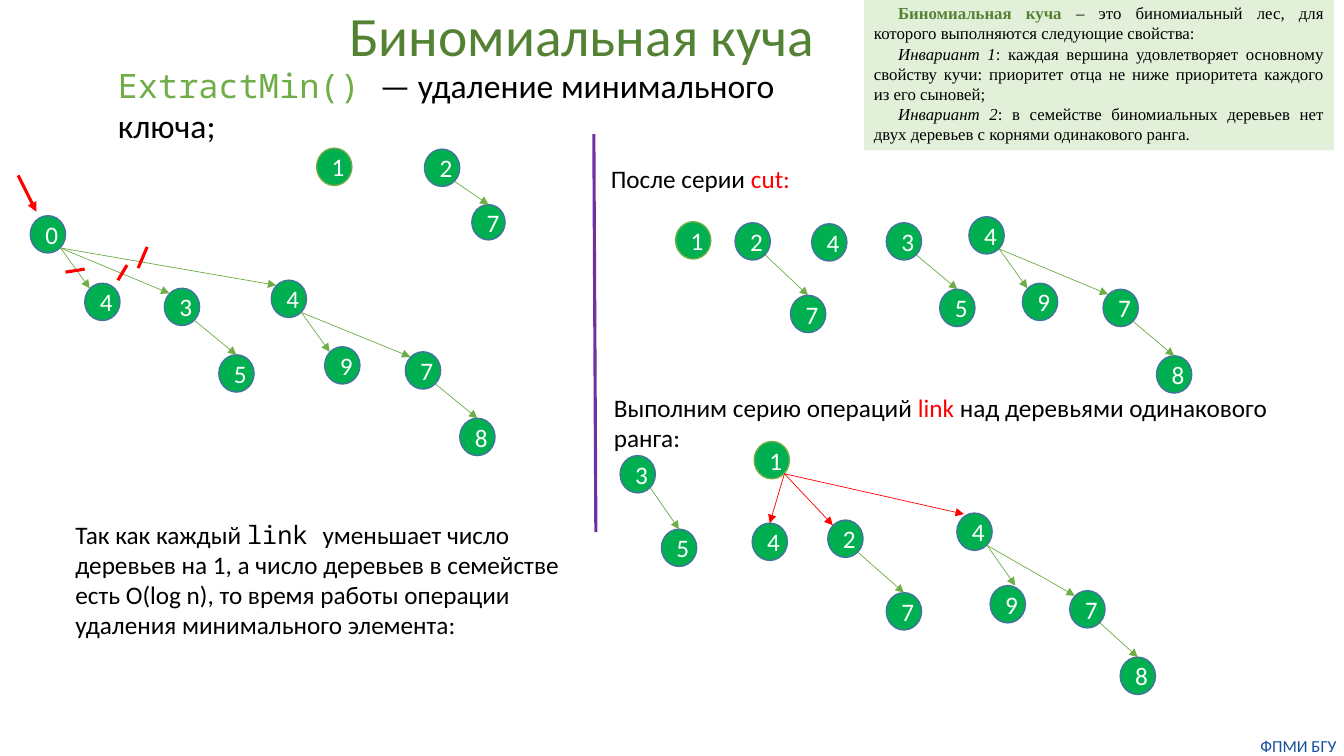
from dataclasses import dataclass

import pptx
import pptx.dml.color
import pptx.enum.dml
import pptx.enum.shapes
import pptx.enum.text
import pptx.oxml
import pptx.oxml.ns
import pptx.util

RGBColor = pptx.dml.color.RGBColor
PP_ALIGN = pptx.enum.text.PP_ALIGN
MSO_ANCHOR = pptx.enum.text.MSO_ANCHOR
MSO_AUTO_SIZE = pptx.enum.text.MSO_AUTO_SIZE
MSO_SHAPE = pptx.enum.shapes.MSO_SHAPE

BLACK = RGBColor(0x00, 0x00, 0x00)
WHITE = RGBColor(0xFF, 0xFF, 0xFF)
RED = RGBColor(0xFF, 0x00, 0x00)
PURPLE = RGBColor(0x70, 0x30, 0xA0)
NODE_GREEN = RGBColor(0x00, 0xB0, 0x50)
NODE_OUTLINE = RGBColor(0x43, 0x73, 0x9E)
EDGE_GREEN = RGBColor(0x70, 0xAD, 0x47)
TITLE_GREEN = RGBColor(0x54, 0x82, 0x35)
PALE_GREEN = RGBColor(0xE2, 0xF0, 0xD9)
FOOTER_BLUE = RGBColor(0x14, 0x4E, 0x9D)

EMU_PER_PX = 9144  # 100 px to the inch
SANS, MONO, SERIF = "Calibri", "Noto Sans Mono", "Times New Roman"

Point = tuple[int, int]
# Where edges leave and enter a node, from its top left corner
EXIT: Point = (30, 32)
CORNER: Point = (5, 5)
TOP: Point = (18, 0)


@dataclass(frozen=True)
class Run:
    text: str
    color: RGBColor = BLACK
    font: str = SANS
    bold: bool = False
    italic: bool = False


@dataclass(frozen=True)
class TextBox:
    box: tuple[int, int, int, int]
    size: float
    paragraphs: tuple[tuple[Run, ...], ...]
    align: PP_ALIGN = PP_ALIGN.LEFT
    anchor: MSO_ANCHOR = MSO_ANCHOR.TOP
    grow: bool = True
    wrap: bool = True
    inset: bool = True
    spacing: float = 1.0
    indent: int = 0
    fill: RGBColor | None = None


@dataclass(frozen=True)
class Node:
    label: str
    left: int
    top: int
    children: tuple["Node", ...] = ()
    entry: Point = TOP
    exit: Point = EXIT
    size: Point = (35, 37)
    outline: RGBColor = NODE_OUTLINE
    edge: RGBColor = EDGE_GREEN


@dataclass(frozen=True)
class Line:
    start: Point
    end: Point
    color: RGBColor = RED
    width: float = 2.25
    arrow: bool = False


TREES = [
    # Heap before the minimum is removed
    Node("1", 314, 147, outline=EDGE_GREEN),
    Node("2", 421, 148, (Node("7", 468, 203, size=(33, 35)),)),
    Node("0", 30, 214, (
        Node("4", 84, 281, entry=CORNER),
        Node("3", 163, 286, (Node("5", 217, 352),), CORNER),
        Node("4", 269, 278, (
            Node("9", 322, 344, entry=CORNER),
            Node("7", 402, 349, (Node("8", 456, 415),), CORNER),
        ), CORNER),
    )),
    # Forest after the cuts
    Node("1", 670, 220, outline=EDGE_GREEN),
    Node("2", 729, 221, (Node("7", 784, 293),)),
    Node("4", 805, 222),
    Node("3", 879, 221, (Node("5", 932, 287),)),
    Node("4", 961, 215, (
        Node("9", 1014, 281, entry=CORNER),
        Node("7", 1094, 287, (Node("8", 1147, 353),), CORNER),
    )),
    # Heap after the links
    Node("3", 615, 452, (Node("5", 656, 525),)),
    Node("1", 748, 438, (
        Node("4", 746, 519),
        Node("2", 821, 516, (Node("7", 879, 588),), CORNER),
        Node("4", 949, 509, (
            Node("9", 982, 581, entry=(25, 0)),
            Node("7", 1061, 586, (Node("8", 1111, 652),), CORNER),
        ), (7, 1)),
    ), outline=EDGE_GREEN, edge=RED),
]

LINES = [
    # Cut marks, pointer to the minimum, divider
    Line((146, 245), (137, 266)),
    Line((126, 263), (117, 278)),
    Line((65, 270), (84, 267)),
    Line((18, 174), (36, 210), arrow=True),
    Line((589, 133), (591, 528), PURPLE),
]

TEXTS = [
    TextBox((1243, 730, 90, 20), 12, ((Run("ФПМИ БГУ", FOOTER_BLUE),),),
            PP_ALIGN.CENTER, inset=False),
    TextBox((331, 2, 492, 73), 39.6, ((Run("Биномиальная куча", TITLE_GREEN),),),
            PP_ALIGN.CENTER, MSO_ANCHOR.MIDDLE, grow=False, spacing=0.9),
    TextBox((857, -2, 466, 151), 12, (
        (Run("Биномиальная куча ", TITLE_GREEN, SERIF, bold=True),
         Run("– это биномиальный лес, для которого выполняются следующие свойства:",
             font=SERIF)),
        (Run("Инвариант 1", font=SERIF, italic=True),
         Run(": каждая вершина удовлетворяет основному свойству кучи: приоритет "
             "отца не ниже приоритета каждого из его сыновей;", font=SERIF)),
        (Run("Инвариант 2", font=SERIF, italic=True),
         Run(": в семействе биномиальных деревьев нет двух деревьев с корнями "
             "одинакового ранга.", font=SERIF)),
    ), PP_ALIGN.JUSTIFY, indent=24, fill=PALE_GREEN),
    TextBox((107, 59, 763, 50), 24, (
        (Run("ExtractMin() ", EDGE_GREEN, MONO),
         Run("— удаление минимального ключа;")),)),
    TextBox((596, 157, 200, 40), 18,
            ((Run("После серии "), Run("cut:", RED)),), wrap=False),
    TextBox((599, 384, 711, 71), 18, (
        (Run("Выполним серию операций "), Run("link ", RED),
         Run("над деревьями одинакового ранга:")),)),
    TextBox((65, 510, 504, 131), 18, (
        (Run("Так как каждый "), Run("link ", font=MONO),
         Run("уменьшает число деревьев на 1, а число деревьев в семействе есть "
             "O(log n), то время работы операции удаления минимального элемента:")),)),
]


def px(length: int) -> int:
    return pptx.util.Emu(length * EMU_PER_PX)


def write_text(shape, text: TextBox) -> None:
    frame = shape.text_frame
    frame_format = {
        "word_wrap": text.wrap,
        "vertical_anchor": text.anchor,
        "auto_size": MSO_AUTO_SIZE.SHAPE_TO_FIT_TEXT if text.grow else MSO_AUTO_SIZE.NONE,
    }
    if not text.inset:
        frame_format |= {f"margin_{side}": 0 for side in ("left", "top", "right", "bottom")}
    for name, value in frame_format.items():
        setattr(frame, name, value)
    for index, runs in enumerate(text.paragraphs):
        paragraph = frame.add_paragraph() if index else frame.paragraphs[0]
        paragraph.alignment = text.align
        paragraph.line_spacing = text.spacing
        if text.indent:
            paragraph._p.get_or_add_pPr().set("indent", str(px(text.indent)))
        for item in runs:
            run = paragraph.add_run()
            run.text = item.text
            font_format = {"size": pptx.util.Pt(text.size), "name": item.font,
                           "bold": item.bold, "italic": item.italic}
            for name, value in font_format.items():
                setattr(run.font, name, value)
            run.font.color.rgb = item.color


def draw_text(slide, text: TextBox) -> None:
    shape = slide.shapes.add_textbox(*map(px, text.box))
    if text.fill is not None:
        shape.fill.solid()
        shape.fill.fore_color.rgb = text.fill
    write_text(shape, text)


def draw_line(slide, line: Line):
    connector = slide.shapes.add_connector(
        pptx.enum.shapes.MSO_CONNECTOR.STRAIGHT, *map(px, line.start + line.end))
    connector.line.color.rgb = line.color
    connector.line.width = pptx.util.Pt(line.width)
    if line.arrow:
        outline = connector.line._get_or_add_ln()
        outline.append(pptx.oxml.parse_xml(
            f'<a:tailEnd {pptx.oxml.ns.nsdecls("a")} type="triangle"/>'))
    connector._element.spPr.append(
        pptx.oxml.parse_xml(f'<a:effectLst {pptx.oxml.ns.nsdecls("a")}/>'))
    return connector


def draw_tree(slide, node: Node):
    """Draw a node with its subtrees and return the node's shape."""
    box = (node.left, node.top, *node.size)
    shape = slide.shapes.add_shape(MSO_SHAPE.OVAL, *map(px, box))
    shape.shadow.inherit = False
    shape.fill.solid()
    shape.fill.fore_color.rgb = NODE_GREEN
    shape.line.color.rgb = node.outline
    shape.line.width = pptx.util.Pt(1)
    write_text(shape, TextBox(box, 18, ((Run(node.label, WHITE),),),
                              PP_ALIGN.CENTER, MSO_ANCHOR.MIDDLE, grow=False))
    for child in node.children:
        child_shape = draw_tree(slide, child)
        start = (node.left + node.exit[0], node.top + node.exit[1])
        end = (child.left + child.entry[0], child.top + child.entry[1])
        connector = draw_line(slide, Line(start, end, node.edge, 0.5, arrow=True))
        if child.entry == TOP:
            connector.end_connect(child_shape, 0)
    return shape


def main() -> None:
    presentation = pptx.Presentation()
    presentation.slide_width = px(1333)
    presentation.slide_height = px(750)
    slide = presentation.slides.add_slide(presentation.slide_layouts[6])
    for text in TEXTS:
        draw_text(slide, text)
    for tree in TREES:
        draw_tree(slide, tree)
    for line in LINES:
        draw_line(slide, line)
    presentation.save("out.pptx")


if __name__ == "__main__":
    main()
